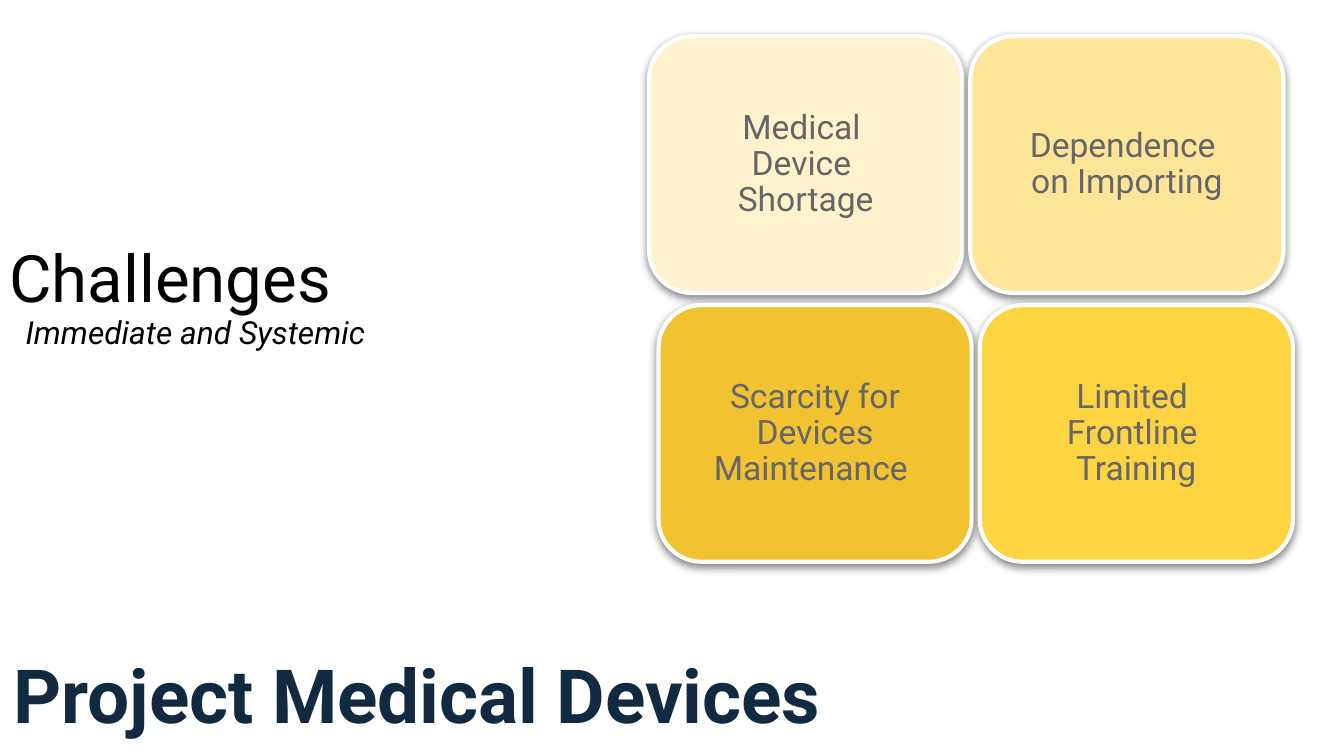
from lxml import etree
from pptx import Presentation
from pptx import util as u
from pptx.dml import color
from pptx.enum import shapes, text
from pptx.oxml import ns

FONT = "Roboto"
CHALLENGES = [
    [("Medical \nDevice \nShortage", "FFF2CC"),
     ("Dependence \non Importing", "FFE599")],
    [("Scarcity for Devices Maintenance ", "F1C232"),
     ("Limited \nFrontline \nTraining", "FFD443")],
]


def rgb(hex_code):
    return color.RGBColor.from_string(hex_code)


def add_run(paragraph, words, size, hex_code, bold=False, italic=False):
    run = paragraph.add_run()
    run.text = words
    run.font.name = FONT
    run.font.size = u.Pt(size)
    run.font.bold = bold
    run.font.italic = italic
    run.font.color.rgb = rgb(hex_code)


def set_frame(frame, anchor, side, edge):
    frame.word_wrap = True
    frame.auto_size = text.MSO_AUTO_SIZE.NONE
    frame.vertical_anchor = anchor
    frame.margin_left = frame.margin_right = u.Inches(side)
    frame.margin_top = frame.margin_bottom = u.Inches(edge)


def add_soft_shadow(card):
    card.shadow.inherit = False
    effects = card.fill._xPr.find(ns.qn("a:effectLst"))
    shadow = etree.SubElement(
        effects, ns.qn("a:outerShdw"), blurRad=str(u.Pt(4.5)),
        dist=str(u.Pt(1.5)), dir="5400000", algn="bl", rotWithShape="0")
    tint = etree.SubElement(shadow, ns.qn("a:srgbClr"), val="000000")
    etree.SubElement(tint, ns.qn("a:alpha"), val="50000")


def add_card(slide, left, top, width, height, label, fill):
    card = slide.shapes.add_shape(
        shapes.MSO_SHAPE.ROUNDED_RECTANGLE,
        u.Inches(left), u.Inches(top), u.Inches(width), u.Inches(height))
    card.fill.solid()
    card.fill.fore_color.rgb = rgb(fill)
    card.line.color.rgb = rgb("FFFFFF")
    card.line.width = u.Pt(2.25)
    add_soft_shadow(card)
    set_frame(card.text_frame, text.MSO_ANCHOR.MIDDLE, 0.1, 0.1)
    paragraph = card.text_frame.paragraphs[0]
    paragraph.alignment = text.PP_ALIGN.CENTER
    paragraph.line_spacing = 0.9
    for index, words in enumerate(label.split("\n")):
        if index:
            paragraph.add_line_break()
        add_run(paragraph, words, 18, "666666")


def add_challenge_grid(slide, left, top):
    width, height = 2.33, 1.91
    column_step, row_step, row_shift = 2.39, 2, 0.07
    for row, challenges in enumerate(CHALLENGES):
        for column, (label, fill) in enumerate(challenges):
            add_card(slide, left + column * column_step + row * row_shift,
                     top + row * row_step, width, height, label, fill)


def add_heading(slide, left, top, width, height):
    heading = slide.shapes.add_textbox(
        u.Inches(left), u.Inches(top), u.Inches(width), u.Inches(height))
    set_frame(heading.text_frame, text.MSO_ANCHOR.MIDDLE, 0.07, 0.04)
    paragraph = heading.text_frame.paragraphs[0]
    paragraph.line_spacing = 0.9
    hang = u.Inches(0.12)
    properties = paragraph._p.get_or_add_pPr()
    properties.set("marL", str(hang))
    properties.set("indent", str(-hang))
    add_run(paragraph, "Challenges", 35, "000000")
    paragraph.add_line_break()
    add_run(paragraph, "Immediate and Systemic", 17, "000000", italic=True)


def place_title(slide, left, top, width, height):
    title = slide.shapes.title
    title.left, title.top = u.Inches(left), u.Inches(top)
    title.width, title.height = u.Inches(width), u.Inches(height)
    set_frame(title.text_frame, text.MSO_ANCHOR.BOTTOM, 0.1, 0.1)
    paragraph = title.text_frame.paragraphs[0]
    paragraph.alignment = text.PP_ALIGN.LEFT
    add_run(paragraph, "Project Medical Devices", 40, "122A40", bold=True)
    add_run(paragraph, " ", 48, "122A40", bold=True)


def main():
    deck = Presentation()
    deck.slide_width = u.Inches(10)
    deck.slide_height = u.Inches(10 * 9 / 16)
    slide = deck.slides.add_slide(deck.slide_layouts[5])
    add_challenge_grid(slide, 4.83, 0.27)
    add_heading(slide, 0, 1.81, 3.82, 0.83)
    place_title(slide, 0, 3.92, 9.27, 1.7)
    deck.save("out.pptx")


if __name__ == "__main__":
    main()
